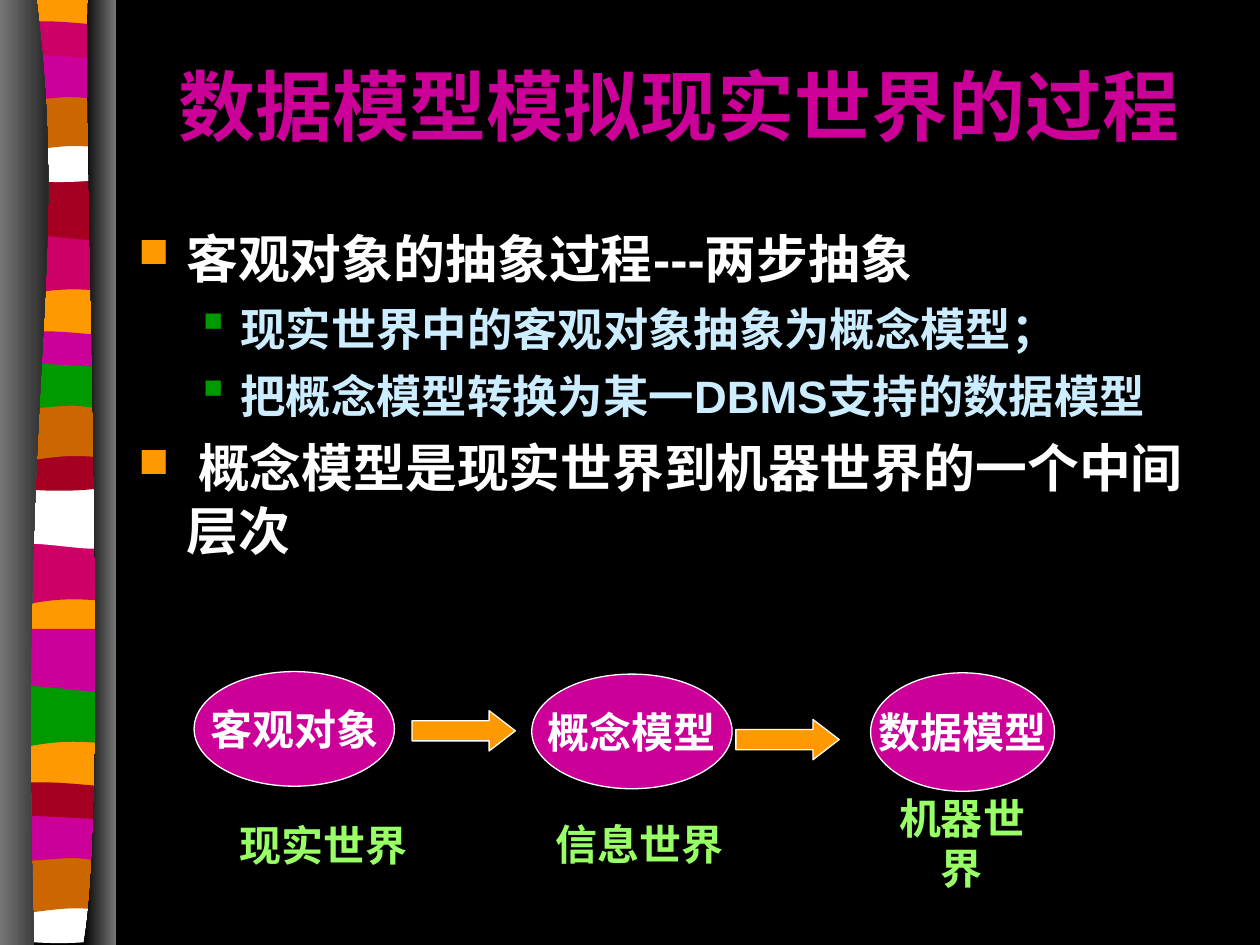
from lxml import etree
from pptx import Presentation
from pptx.dml.color import RGBColor
from pptx.enum.shapes import MSO_SHAPE
from pptx.enum.text import MSO_ANCHOR, PP_ALIGN
from pptx.oxml.ns import qn
from pptx.util import Inches, Pt

OVAL = MSO_SHAPE.OVAL
RIGHT_ARROW = MSO_SHAPE.RIGHT_ARROW
MIDDLE = MSO_ANCHOR.MIDDLE
TOP = MSO_ANCHOR.TOP
CENTER = PP_ALIGN.CENTER
LEFT = PP_ALIGN.LEFT

COLORS = {
    "black": "000000", "white": "FFFFFF", "gray": "767676",
    "orange": "FF9900", "pink": "CC0066", "magenta": "CC0099",
    "red": "A50021", "brown": "CC6600", "green": "009900",
    "ice": "CCECFF", "lime": "99FF66",
}

FLAT = [(0.04, 0), (0.9, 0)]
BANDS = [
    (FLAT, [(0.9, 0.47), (0.31, 0.39), (0.19, 0.55), (0.04, 0.47)],
     [(1.85, "pink"), (4.31, "pink"), (5.44, "green")]),
    (FLAT, [(0.9, 0.47), (0.75, 0.55), (0.31, 0.41), (0.04, 0.47)],
     [(1.41, "red"), (3.86, "white"), (4.99, "magenta")]),
    ([(0.04, 0.05), (0.1, 0), (0.23, 0.01), (0.37, 0.01), (0.51, 0.01), (0.79, 0.04), (0.9, 0.05)],
     [(0.9, 0.29), (0.75, 0.33), (0.19, 0.33), (0.04, 0.29)],
     [(0.16, "pink"), (2.62, "magenta"), (6.2, "red")]),
    ([(0.04, 0), (0.57, 0.05), (0.72, 0), (0.9, 0)],
     [(0.9, 0.32), (0.75, 0.38), (0.19, 0.38), (0.04, 0.32)],
     [(1.08, "white"), (3.53, "red"), (7.12, "white")]),
    (FLAT,
     [(0.9, 0.47), (0.77, 0.42), (0.71, 0.42), (0.57, 0.42), (0.43, 0.42), (0.17, 0.47), (0.04, 0.47)],
     [(0.74, "brown"), (3.2, "brown"), (6.79, "brown")]),
    ([(0.04, 0.05), (0.16, 0), (0.62, 0.05), (0.76, 0.05), (0.91, 0.05), (0.87, 0.05), (0.9, 0.05)],
     [(0.9, 0.36), (0.84, 0.41), (0.71, 0.36), (0.57, 0.36), (0.43, 0.36), (0.13, 0.41), (0.04, 0.36)],
     [(0.41, "magenta"), (2.86, "green"), (6.45, "magenta")]),
]
LEFT_EDGE = [(0.29, 0), (0.56, 2.16), (0.14, 2.96), (0.27, 7.5)]
RIGHT_EDGE = [(0.7, 0), (0.66, 1.25), (0.88, 6.46), (0.66, 7.5)]

BODY = [
    ("客观对象的抽象过程---两步抽象", 0),
    ("现实世界中的客观对象抽象为概念模型；", 1),
    ("把概念模型转换为某一DBMS支持的数据模型", 1),
    (" 概念模型是现实世界到机器世界的一个中间层次", 0),
]
LEVELS = [
    {"size": 29.6, "color": "white", "before": 8, "margin": 0.38, "indent": -0.38,
     "bullet": ("n", "orange", 80)},
    {"size": 25.9, "color": "ice", "before": 7, "margin": 0.81, "indent": -0.31,
     "bullet": ("§", "green", 115)},
]
MODELS = [
    ("概念模型", 4.22, 5.35, 1.59, 0.91),
    ("数据模型", 6.91, 5.34, 1.46, 0.94),
    ("客观对象", 1.54, 5.33, 1.59, 0.91),
]
ARROWS = [(3.27, 5.64), (5.84, 5.71)]
WORLDS = [
    ("现实世界", 1.77, 6.46, 1.59, 0.48, MIDDLE, CENTER),
    ("机器世界", 6.93, 6.31, 1.41, 0.76, MIDDLE, CENTER),
    ("信息世界", 4.31, 6.45, 1.53, 0.5, TOP, LEFT),
]


def rgb(name):
    return RGBColor.from_string(COLORS[name])


def bend_segments(shape, edges):
    path_element = shape._element.find(".//" + qn("a:path"))
    lines = path_element.findall(qn("a:lnTo"))
    position = -1
    for edge in edges:
        for start in range(position + 1, position + len(edge) - 2, 3):
            curve = etree.Element(qn("a:cubicBezTo"))
            lines[start].addprevious(curve)
            for line in lines[start:start + 3]:
                curve.append(line[0])
                path_element.remove(line)
        position += len(edge)


def add_outline(slide, edges, color=None, gradient=None):
    corners = [(Inches(x), Inches(y)) for edge in edges for x, y in edge]
    builder = slide.shapes.build_freeform(*corners[0])
    builder.add_line_segments(corners[1:], close=True)
    shape = builder.convert_to_shape()
    bend_segments(shape, edges)
    shape.shadow.inherit = False
    shape.line.fill.background()
    if gradient:
        shape.fill.gradient()
        shape.fill.gradient_angle = 0
        for stop, name in zip(shape.fill.gradient_stops, gradient):
            stop.color.rgb = rgb(name)
    else:
        shape.fill.solid()
        shape.fill.fore_color.rgb = rgb(color)


def add_ribbon(slide):
    add_outline(slide, [FLAT, [(0.9, 7.47), (0.04, 7.47)]], "orange")
    for group in range(3):
        for top, bottom, places in BANDS:
            offset, color = places[group]
            edges = [[(x, y + offset) for x, y in edge] for edge in (top, bottom)]
            add_outline(slide, edges, color)
    add_outline(slide, [LEFT_EDGE, [(0, 7.5), (0, 0)]], gradient=("gray", "black"))
    add_outline(slide, [RIGHT_EDGE, [(0.92, 7.5), (0.92, 0)]], gradient=("black", "gray"))


def add_bullet(paragraph, character, color, percent):
    properties = paragraph._p.get_or_add_pPr()
    bullet_color = etree.SubElement(properties, qn("a:buClr"))
    etree.SubElement(bullet_color, qn("a:srgbClr"), val=COLORS[color])
    etree.SubElement(properties, qn("a:buSzPct"), val=str(percent * 1000))
    etree.SubElement(properties, qn("a:buFont"), typeface="Wingdings", charset="2")
    etree.SubElement(properties, qn("a:buChar"), char=character)


def write_text(paragraph, text, size=24, color="white", font="Arial", align=CENTER,
               before=0, margin=0, indent=0, bullet=None):
    paragraph.alignment = align
    if before:
        paragraph.space_before = Pt(before)
    if bullet:
        properties = paragraph._p.get_or_add_pPr()
        properties.set("marL", str(Inches(margin)))
        properties.set("indent", str(Inches(indent)))
        add_bullet(paragraph, *bullet)
    run = paragraph.add_run()
    run.text = text
    run.font.name = font
    run.font.size = Pt(size)
    run.font.bold = True
    run.font.color.rgb = rgb(color)


def add_text_box(slide, left, top, width, height, anchor=MIDDLE, wrap=True):
    box = slide.shapes.add_textbox(Inches(left), Inches(top), Inches(width), Inches(height))
    box.text_frame.word_wrap = wrap
    box.text_frame.vertical_anchor = anchor
    return box.text_frame


def add_body(slide):
    frame = add_text_box(slide, 1, 1.75, 8.78, 3.33, anchor=TOP)
    for index, (text, level) in enumerate(BODY):
        paragraph = frame.add_paragraph() if index else frame.paragraphs[0]
        paragraph.level = level
        style = dict(LEVELS[level])
        if index == 0:
            style["before"] = 0
        write_text(paragraph, text, align=LEFT, **style)


def add_filled_shape(slide, kind, left, top, width, height, color):
    shape = slide.shapes.add_shape(kind, Inches(left), Inches(top), Inches(width), Inches(height))
    shape.shadow.inherit = False
    shape.fill.solid()
    shape.fill.fore_color.rgb = rgb(color)
    shape.line.color.rgb = rgb("white")
    shape.line.width = Pt(0.75)
    return shape


def add_model(slide, text, left, top, width, height):
    oval = add_filled_shape(slide, OVAL, left, top, width, height, "magenta")
    oval.text_frame.word_wrap = False
    oval.text_frame.vertical_anchor = MIDDLE
    write_text(oval.text_frame.paragraphs[0], text)


def main():
    presentation = Presentation()
    presentation.slide_width = Inches(10)
    presentation.slide_height = Inches(7.5)
    slide = presentation.slides.add_slide(presentation.slide_layouts[6])
    slide.background.fill.solid()
    slide.background.fill.fore_color.rgb = rgb("black")
    add_ribbon(slide)
    title = add_text_box(slide, 1, 0.33, 8.78, 1)
    write_text(title.paragraphs[0], "数据模型模拟现实世界的过程", size=44,
               color="magenta", font="Times New Roman")
    add_body(slide)
    for model in MODELS:
        add_model(slide, *model)
    for left, top in ARROWS:
        arrow = add_filled_shape(slide, RIGHT_ARROW, left, top, 0.82, 0.32, "orange")
        arrow.adjustments[1] = 0.65
    for text, left, top, width, height, anchor, align in WORLDS:
        frame = add_text_box(slide, left, top, width, height, anchor, wrap=False)
        write_text(frame.paragraphs[0], text, color="lime", align=align)
    presentation.save("out.pptx")


if __name__ == "__main__":
    main()
